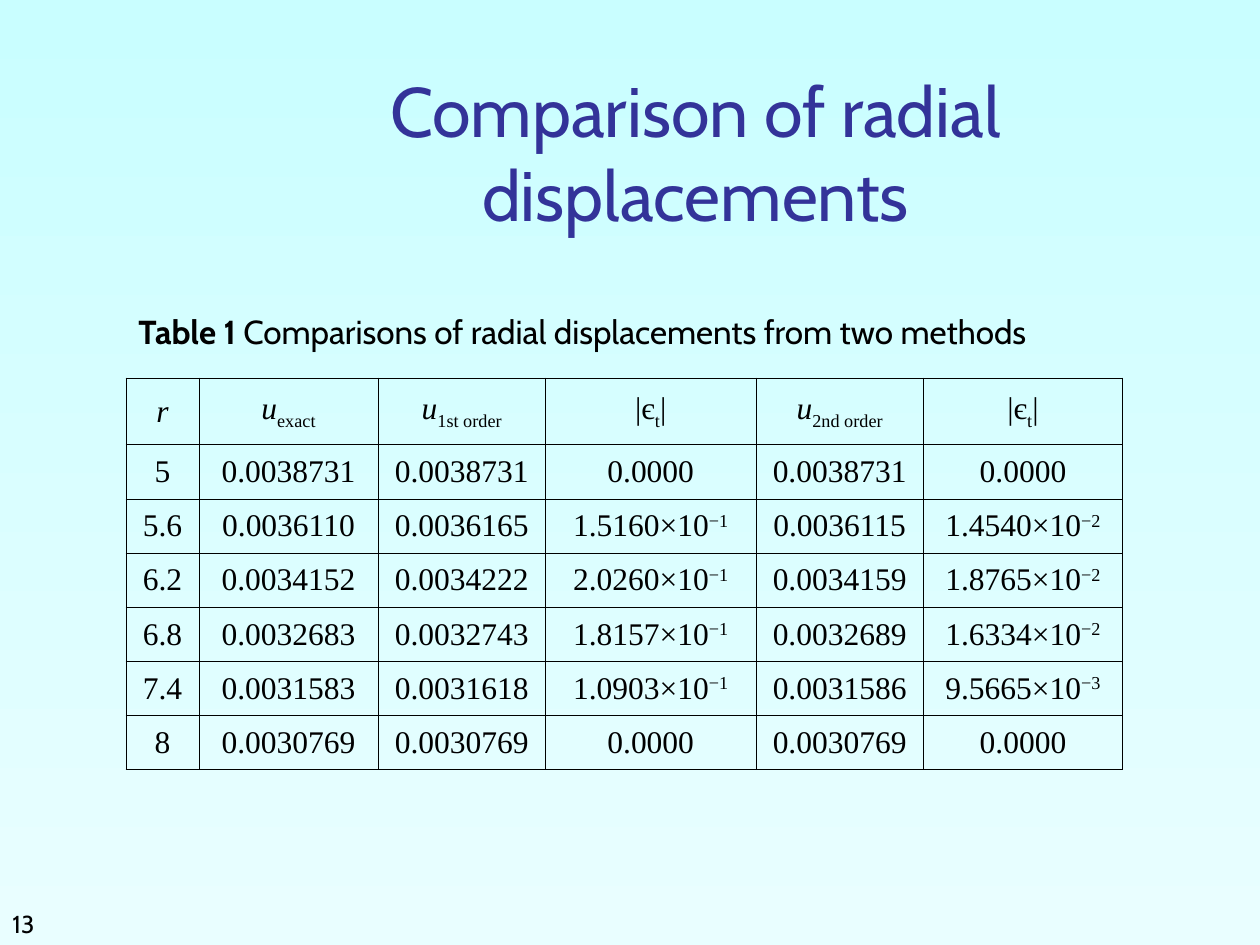
"""Build a slide that compares radial displacements from two methods."""
from lxml import etree
from pptx import Presentation
from pptx.dml.color import RGBColor
from pptx.enum.text import MSO_ANCHOR, PP_ALIGN
from pptx.oxml.ns import qn
from pptx.util import Inches, Pt

BLACK = RGBColor(0x00, 0x00, 0x00)
INDIGO = RGBColor(0x33, 0x33, 0x99)
SKY_TOP = RGBColor(0xC9, 0xFE, 0xFF)
SKY_BOTTOM = RGBColor(0xE9, 0xFE, 0xFF)
CENTER, LEFT = PP_ALIGN.CENTER, PP_ALIGN.LEFT
MIDDLE, BOTTOM = MSO_ANCHOR.MIDDLE, MSO_ANCHOR.BOTTOM
SANS, SERIF = "Cabin", "Times New Roman"
SUB, SUPER = -25, 30

COL_WIDTHS = [0.58, 1.42, 1.33, 1.67, 1.33, 1.58]
HEADER_HEIGHT, ROW_HEIGHT = 0.53, 0.43
ERROR = [("|є", {}), ("t", {"base": SUB}), ("|", {})]
ROWS = [
    ["5", "0.0038731", "0.0038731", "0.0000", "0.0038731", "0.0000"],
    ["5.6", "0.0036110", "0.0036165", "1.5160×10^−1", "0.0036115", "1.4540×10^−2"],
    ["6.2", "0.0034152", "0.0034222", "2.0260×10^−1", "0.0034159", "1.8765×10^−2"],
    ["6.8", "0.0032683", "0.0032743", "1.8157×10^−1", "0.0032689", "1.6334×10^−2"],
    ["7.4", "0.0031583", "0.0031618", "1.0903×10^−1", "0.0031586", "9.5665×10^−3"],
    ["8", "0.0030769", "0.0030769", "0.0000", "0.0030769", "0.0000"],
]


def add_run(p, text, font=SANS, size=18, color=BLACK, bold=False, italic=False, base=0):
    r = p.add_run()
    r.text = text
    r.font.name, r.font.size = font, Pt(size)
    r.font.bold, r.font.italic = bold, italic
    r.font.color.rgb = color
    if base:
        r._r.get_or_add_rPr().set("baseline", str(base * 1000))


def displacement(label):
    return [("u", {"italic": True}), (label, {"base": SUB})]


def number(value):
    mantissa, _, exponent = value.partition("^")
    parts = [(mantissa, {})]
    return parts + [(exponent, {"base": SUPER})] if exponent else parts


class SlideBuilder:
    def __init__(self, prs):
        self.s = prs.slides.add_slide(prs.slide_layouts[5])

    def background(self, top, bottom):
        fill = self.s.background.fill
        fill.gradient()
        fill.gradient_angle = 270
        for stop, color, position in zip(fill.gradient_stops, (top, bottom), (0, 1)):
            stop.color.rgb, stop.position = color, position

    def fill_text(self, tf, parts, align=LEFT, anchor=MIDDLE, wrap=True, **fmt):
        tf.word_wrap, tf.vertical_anchor = wrap, anchor
        p = tf.paragraphs[0]
        p.alignment = align
        for text, extra in parts:
            add_run(p, text, **{**fmt, **extra})

    def title(self, text, x, y, w, h):
        sp = self.s.shapes.title
        sp.left, sp.top, sp.width, sp.height = map(Inches, (x, y, w, h))
        tf = sp.text_frame
        tf.margin_left = tf.margin_right = Inches(0.2)
        self.fill_text(tf, [(text, {})], CENTER, BOTTOM, size=40, color=INDIGO)

    def text(self, parts, x, y, w, h, **fmt):
        sp = self.s.shapes.add_textbox(*map(Inches, (x, y, w, h)))
        self.fill_text(sp.text_frame, parts, **fmt)

    def table(self, rows, x, y, widths, heights):
        frame = self.s.shapes.add_table(
            len(rows), len(widths),
            *map(Inches, (x, y, sum(widths), sum(heights))))
        table = frame.table
        table.first_row = table.horz_banding = False
        for col, width in zip(table.columns, widths):
            col.width = Inches(width)
        for row, height, values in zip(table.rows, heights, rows):
            row.height = Inches(height)
            for cell, parts in zip(row.cells, values):
                self.cell(cell, parts)

    def cell(self, cell, parts):
        cell.fill.background()
        cell.margin_left = cell.margin_right = Inches(0.08)
        cell.vertical_anchor = MIDDLE
        p = cell.text_frame.paragraphs[0]
        p.alignment = CENTER
        for text, extra in parts:
            add_run(p, text, font=SERIF, **extra)
        tcPr = cell._tc.get_or_add_tcPr()
        for i, side in enumerate(("lnL", "lnR", "lnT", "lnB")):
            ln = etree.Element(qn(f"a:{side}"), w=str(Pt(0.45)))
            fill = etree.SubElement(ln, qn("a:solidFill"))
            etree.SubElement(fill, qn("a:srgbClr"), val=str(BLACK))
            tcPr.insert(i, ln)


def main():
    prs = Presentation()
    prs.slide_width, prs.slide_height = Inches(10), Inches(7.5)
    slide = SlideBuilder(prs)
    slide.background(SKY_TOP, SKY_BOTTOM)
    slide.text([("13", {})], 0, 7.25, 2.08, 0.25, anchor=BOTTOM, size=14)
    slide.title("Comparison of radial displacements", 1.26, 0.67, 8.52, 1.25)
    slide.text([("Table 1 ", {"bold": True}),
                ("Comparisons of radial displacements from two methods", {})],
               1, 2.42, 8.22, 0.42, wrap=False, size=19)
    header = [[("r", {"italic": True})], displacement("exact"),
              displacement("1st order"), ERROR, displacement("2nd order"), ERROR]
    body = [[number(value) for value in row] for row in ROWS]
    slide.table([header] + body, 1, 3, COL_WIDTHS,
                [HEADER_HEIGHT] + [ROW_HEIGHT] * len(body))
    prs.save("out.pptx")


if __name__ == "__main__":
    main()
